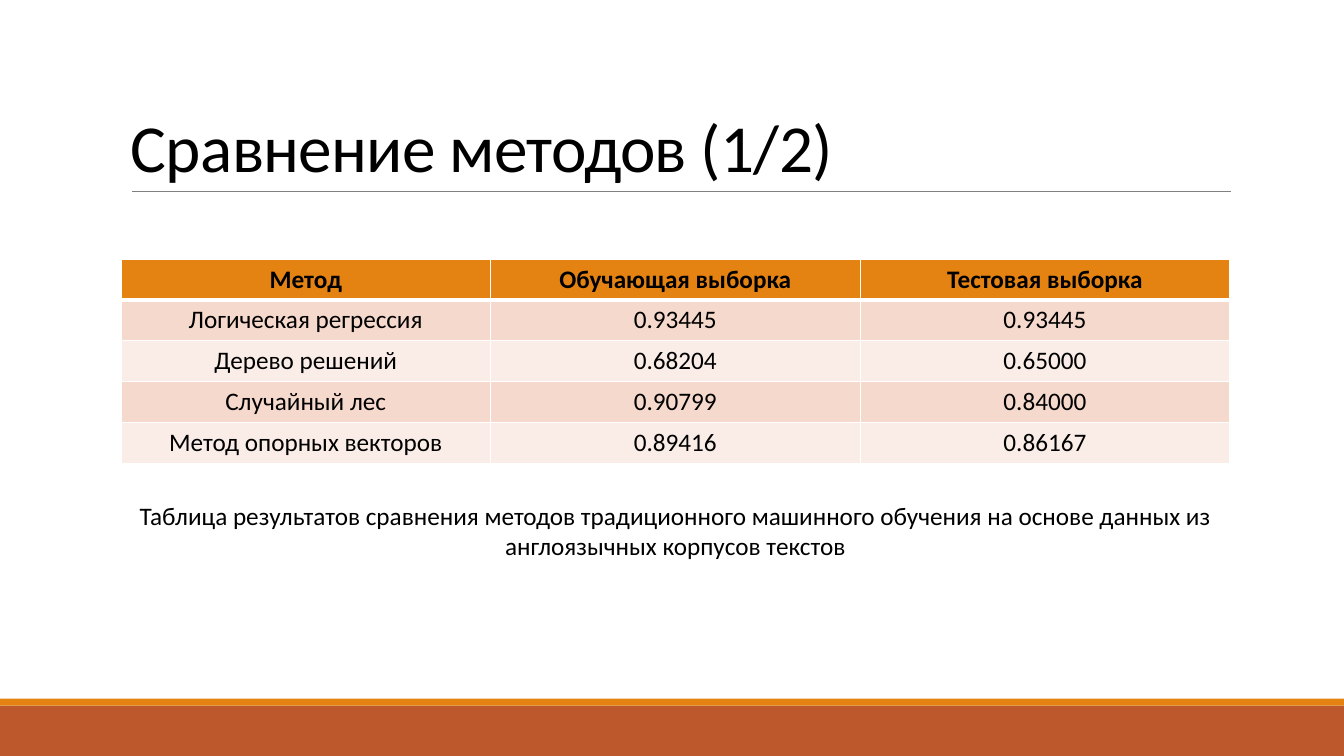
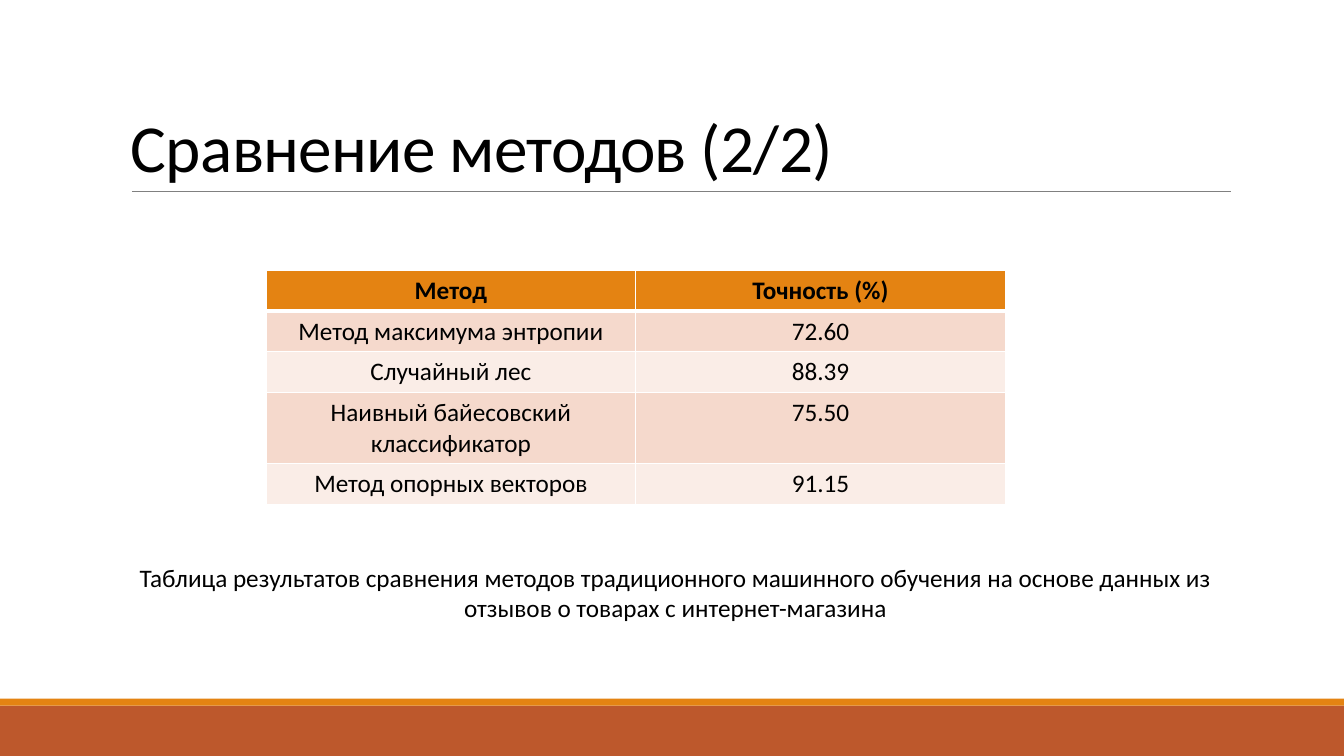
from typing import NamedTuple

from lxml import etree
from pptx import Presentation
from pptx.dml.color import RGBColor
from pptx.enum.shapes import MSO_CONNECTOR, MSO_SHAPE
from pptx.enum.text import MSO_ANCHOR, PP_ALIGN
from pptx.oxml.ns import qn
from pptx.util import Inches, Pt

RECT, LINE = MSO_SHAPE.RECTANGLE, MSO_CONNECTOR.STRAIGHT
LEFT, MID = PP_ALIGN.LEFT, PP_ALIGN.CENTER
TOP, LOW = MSO_ANCHOR.TOP, MSO_ANCHOR.BOTTOM

# Shared look
FONT = "Calibri"
WHITE, BLACK, GREY = "FFFFFF", "000000", "808080"
RUST, AMBER = "BD582C", "E48312"
BANDS = ("F5D9CC", "FAEDE7")
WIDE, HIGH = Inches(13.333), Inches(7.5)

# Shared grid, in percent of the slide's width and height
EDGE, SPAN = 9, 82.5
COL, ROW = SPAN / 3, 5.41
RULE = 25.33
STRIP, FOOT = 92.4, 93.33


class Box(NamedTuple):
    x: float
    y: float
    w: float
    h: float


class Page(NamedTuple):
    title: str
    left: float
    top: float
    rows: list[tuple[str, ...]]
    note: str
    drop: float


PAGES = [
    Page(
        "Сравнение методов (1/2)", EDGE, 34.27,
        [
            ("Метод", "Обучающая выборка", "Тестовая выборка"),
            ("Логическая регрессия", "0.93445", "0.93445"),
            ("Дерево решений", "0.68204", "0.65000"),
            ("Случайный лес", "0.90799", "0.84000"),
            ("Метод опорных векторов", "0.89416", "0.86167"),
        ],
        "Таблица результатов сравнения методов традиционного машинного "
        "обучения на основе данных из англоязычных корпусов текстов", 65.47,
    ),
    Page(
        "Сравнение методов (2/2)", 19.8, 35.73,
        [
            ("Метод", "Точность (%)"),
            ("Метод максимума энтропии", "72.60"),
            ("Случайный лес", "88.39"),
            ("Наивный байесовский классификатор", "75.50"),
            ("Метод опорных векторов", "91.15"),
        ],
        "Таблица результатов сравнения методов традиционного машинного "
        "обучения на основе данных из отзывов о товарах с интернет-магазина",
        73.73,
    ),
]


def tint(code: str) -> RGBColor:
    return RGBColor.from_string(code)


def across(share: float) -> int:
    return round(WIDE * share / 100)


def down(share: float) -> int:
    return round(HIGH * share / 100)


def place(box: Box) -> tuple[int, int, int, int]:
    return across(box.x), down(box.y), across(box.w), down(box.h)


def write(frame, text: str, size: float, align, bold: bool = False):
    """Put one styled run in the frame's first paragraph."""
    para = frame.paragraphs[0]
    para.alignment = align
    run = para.add_run()
    run.text = text
    font = run.font
    font.name, font.size, font.bold = FONT, Pt(size), bold
    font.color.rgb = tint(BLACK)
    return para, run


def label(slide, box: Box, text: str, size: float, align, anchor):
    frame = slide.shapes.add_textbox(*place(box)).text_frame
    frame.word_wrap = True
    frame.vertical_anchor = anchor
    return write(frame, text, size, align)


def band(slide, box: Box, code: str) -> None:
    shape = slide.shapes.add_shape(RECT, *place(box))
    shape.shadow.inherit = False
    shape.fill.solid()
    shape.fill.fore_color.rgb = tint(code)
    shape.line.fill.background()


def rule(slide, start: float, end: float, y: float) -> None:
    line = slide.shapes.add_connector(
        LINE, across(start), down(y), across(end), down(y))
    line.line.color.rgb = tint(GREY)
    line.line.width = Pt(0.5)
    etree.SubElement(line._element.spPr, qn("a:effectLst"))


def border(cell, side: str, width: float) -> None:
    props = cell._tc.get_or_add_tcPr()
    line = etree.SubElement(props, qn(f"a:ln{side}"), w=str(Pt(width)))
    fill = etree.SubElement(line, qn("a:solidFill"))
    etree.SubElement(fill, qn("a:srgbClr"), val=WHITE)


def grid(slide, page: Page) -> None:
    rows, cols = len(page.rows), len(page.rows[0])
    box = Box(page.left, page.top, cols * COL, rows * ROW)
    table = slide.shapes.add_table(rows, cols, *place(box)).table
    for r, row in enumerate(page.rows):
        head = r == 0
        # The thick line parts the header from the body
        lines = {"L": 1, "R": 1, "T": 3 if r == 1 else 1, "B": 3 if head else 1}
        for c, text in enumerate(row):
            cell = table.cell(r, c)
            for side, width in lines.items():
                border(cell, side, width)
            cell.fill.solid()
            cell.fill.fore_color.rgb = tint(AMBER if head else BANDS[(r - 1) % 2])
            write(cell.text_frame, text, 18, MID, head)


def frame(slide, title: str) -> None:
    """Draw the footer bands, the rule and the title."""
    band(slide, Box(0, FOOT, 100, 100 - FOOT), RUST)
    band(slide, Box(0, STRIP, 100, FOOT - STRIP), AMBER)
    rule(slide, 9.82, 91.58, RULE)
    box = Box(EDGE, 4.13, SPAN, RULE - 4.13)
    para, run = label(slide, box, title, 48, LEFT, LOW)
    para.line_spacing = 0.85
    run._r.get_or_add_rPr().set("spc", "-50")


def main() -> None:
    deck = Presentation()
    deck.slide_width, deck.slide_height = WIDE, HIGH
    for page in PAGES:
        slide = deck.slides.add_slide(deck.slide_layouts[6])
        frame(slide, page.title)
        grid(slide, page)
        label(slide, Box(EDGE, page.drop, SPAN, 13.47), page.note, 18, MID, TOP)
    deck.save("out.pptx")


if __name__ == "__main__":
    main()
